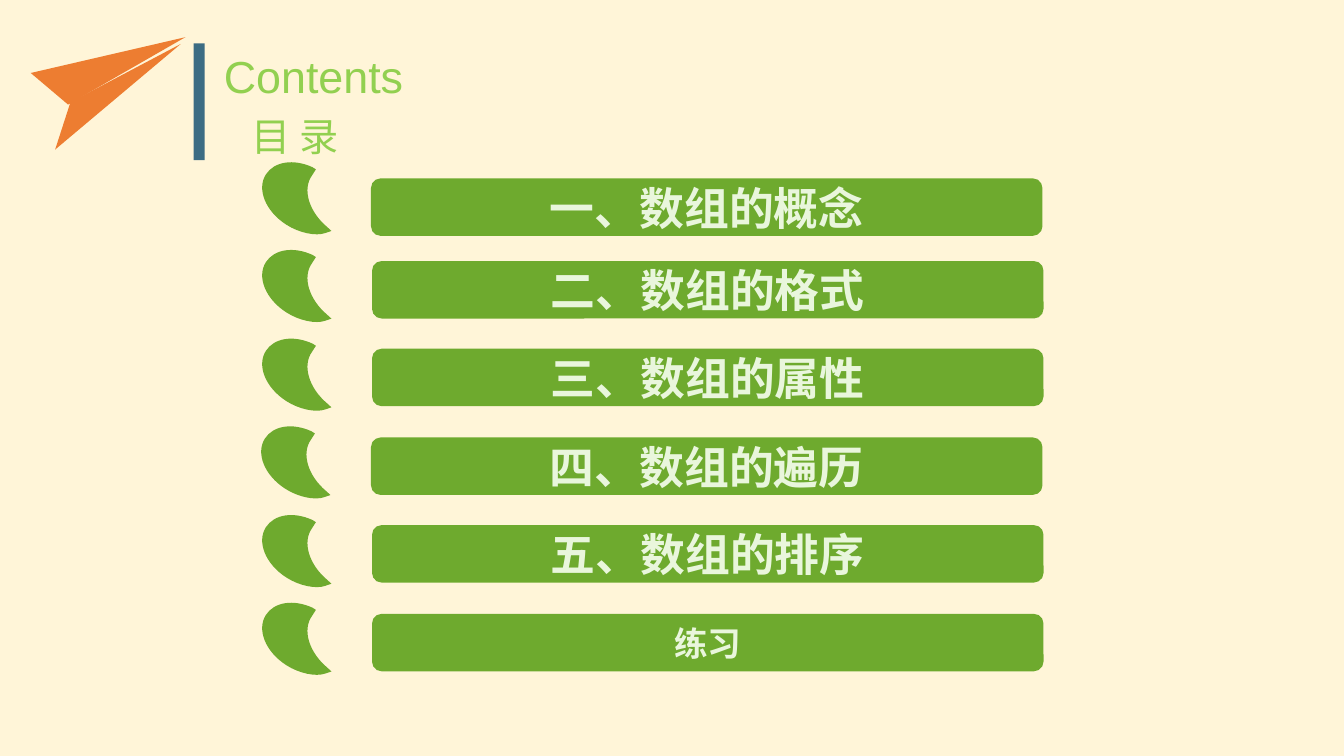
from pptx import Presentation
from pptx.dml.color import RGBColor
from pptx.enum import shapes, text
from pptx.oxml import ns
from pptx.util import Pt

PX = 9144  # 100 px to the inch
CREAM = RGBColor(0xFF, 0xF5, 0xD8)
ORANGE = RGBColor(0xED, 0x7D, 0x31)
BLUE = RGBColor(0x3C, 0x6C, 0x83)
LIME = RGBColor(0x92, 0xD0, 0x50)
GREEN = RGBColor(0x6E, 0xAA, 0x2E)
PALE = RGBColor(0xE9, 0xF6, 0xDC)

CHAPTERS = ["一、数组的概念", "二、数组的格式", "三、数组的属性",
            "四、数组的遍历", "五、数组的排序", "练习"]
# Left, top, rotation and corners of each wing
PLANE_WINGS = [
    (33, 48, 342.6, [(26, 41), (157, 12), (0, 0)]),
    (44, 60, 346.2, [(26, 30), (146, 0), (0, 72)]),
]
# Three points make a curve, one point a straight line
LEAF_START = (41, 0)
LEAF_SEGMENTS = [
    [(66, 0), (85, 14), (85, 31)],
    [(85, 46), (71, 59), (50, 62)],
    [(46, 62)],
    [(46, 60), (46, 57), (46, 55)],
    [(47, 38), (29, 23), (6, 20)],
    [(0, 19)],
    [(4, 14)],
    [(10, 6), (26, 0), LEAF_START],
]
LEAF_POINTS = [point for segment in LEAF_SEGMENTS for point in segment]

presentation = Presentation()
presentation.slide_width = 1333 * PX
presentation.slide_height = 750 * PX
slide = presentation.slides.add_slide(presentation.slide_layouts[5])
slide.background.fill.solid()
slide.background.fill.fore_color.rgb = CREAM


def paint(shape, color):
    shape.shadow.inherit = False
    shape.fill.solid()
    shape.fill.fore_color.rgb = color
    shape.line.fill.background()


def write(shape, wording, size, color, alignment, anchor, bold=False):
    frame = shape.text_frame
    frame.text = wording
    frame.word_wrap = True
    frame.auto_size = text.MSO_AUTO_SIZE.NONE
    frame.vertical_anchor = anchor
    paragraph = frame.paragraphs[0]
    paragraph.alignment = alignment
    font = paragraph.runs[0].font
    font.name, font.size, font.bold = "Arial", Pt(size), bold
    font.color.rgb = color


# Paper plane and heading
plane = slide.shapes.add_group_shape()
for left, top, rotation, corners in PLANE_WINGS:
    builder = plane.shapes.build_freeform(*corners[0], scale=PX)
    builder.add_line_segments(corners[1:])
    wing = builder.convert_to_shape(left * PX, top * PX)
    wing.rotation = rotation
    paint(wing, ORANGE)

divider = slide.shapes.add_shape(
    shapes.MSO_SHAPE.RECTANGLE, 192 * PX, 43 * PX, 11 * PX, 116 * PX)
paint(divider, BLUE)

title = slide.shapes.title
title.left, title.top, title.width, title.height = 212 * PX, 43 * PX, 231 * PX, 64 * PX
write(title, "Contents", 32, LIME, text.PP_ALIGN.LEFT, text.MSO_ANCHOR.TOP)

subtitle = slide.shapes.add_textbox(240 * PX, 107 * PX, 128 * PX, 57 * PX)
write(subtitle, "目 录", 28, LIME, text.PP_ALIGN.LEFT, text.MSO_ANCHOR.TOP)

# Chapter bars with their leaves, 87.5 px apart
for index, chapter in enumerate(CHAPTERS):
    group = slide.shapes.add_group_shape()
    leaf_left = 256 if index == 3 else 257
    leaf_top = 165 + index * 175 // 2
    bar_left = 368 if index in (0, 3) else 369
    bar_top = 259 + (index - 1) * 175 // 2 if index else 177

    bar = group.shapes.add_shape(
        shapes.MSO_SHAPE.ROUNDED_RECTANGLE,
        bar_left * PX, bar_top * PX, 666 * PX, 57 * PX)
    paint(bar, GREEN)
    size = 24 if chapter == "练习" else 32
    write(bar, chapter, size, PALE, text.PP_ALIGN.CENTER, text.MSO_ANCHOR.MIDDLE, True)

    builder = group.shapes.build_freeform(*LEAF_START, scale=PX)
    builder.add_line_segments(LEAF_POINTS)
    leaf = builder.convert_to_shape(leaf_left * PX, leaf_top * PX)
    leaf.rotation = 212.7
    paint(leaf, GREEN)
    lines = iter(list(leaf.element.iter(ns.qn("a:lnTo"))))
    for segment in LEAF_SEGMENTS:
        curve = next(lines)
        if len(segment) == 3:
            curve.tag = ns.qn("a:cubicBezTo")
            for line in (next(lines), next(lines)):
                curve.append(line[0])
                line.getparent().remove(line)

presentation.save("out.pptx")
